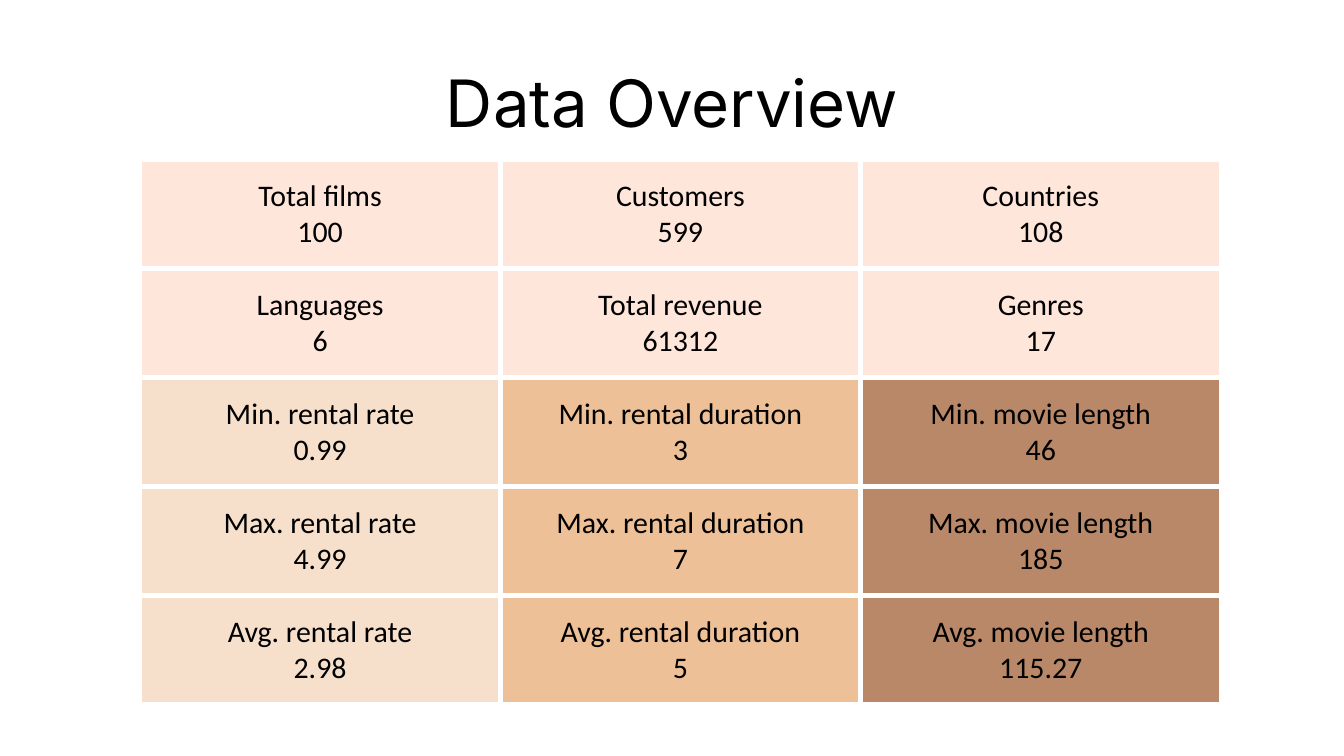
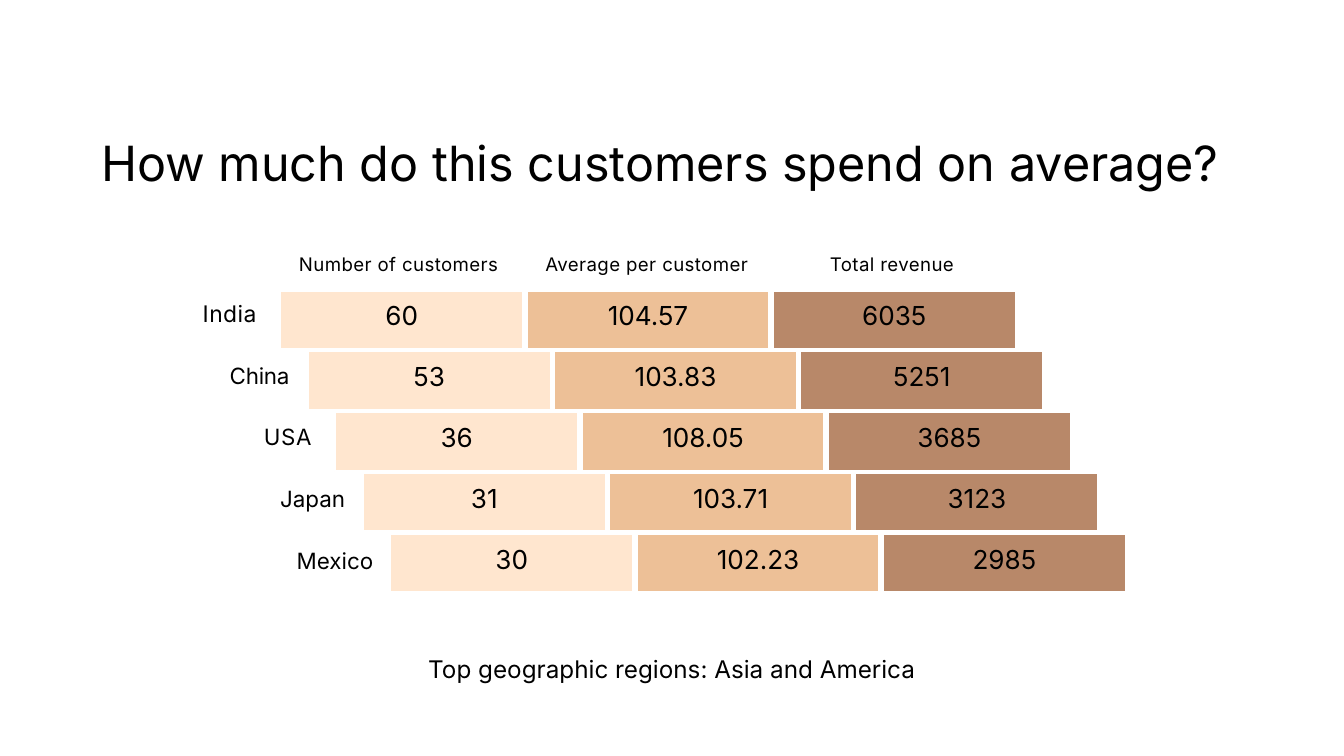
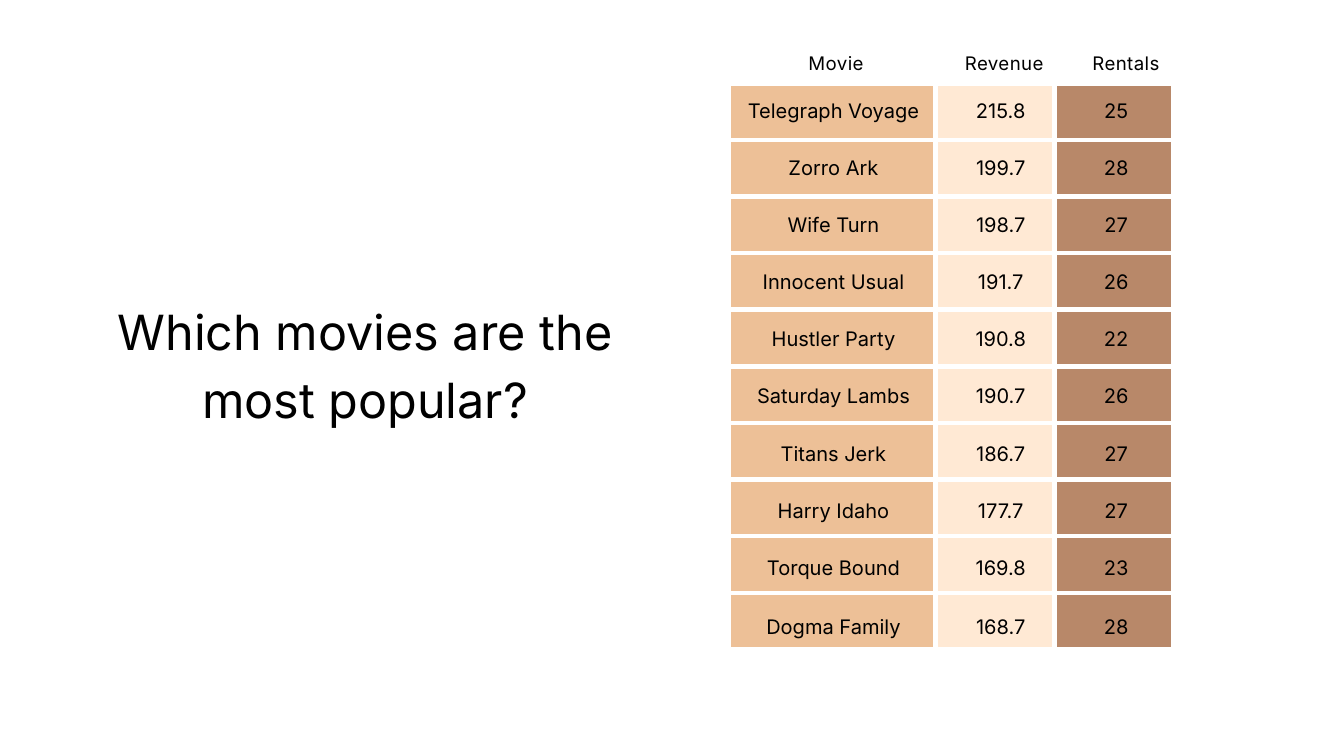
from lxml.etree import SubElement
from pptx import Presentation
from pptx.dml.color import RGBColor
from pptx.enum.shapes import MSO_SHAPE as SHAPE
from pptx.enum.text import MSO_ANCHOR as ANCHOR, MSO_AUTO_SIZE as AUTO_SIZE, PP_ALIGN as ALIGN
from pptx.oxml.ns import qn
from pptx.util import Cm, Pt

COLORS = {
    "text": "000000",
    "white": "FFFFFF",
    "blush": "FFE6DB",
    "sand": "F6E0CB",
    "cream": "FFE6CF",
    "ivory": "FFE9D4",
    "apricot": "EDC097",
    "brown": "B88869",
}
FONT = "Inter"
TITLE_ONLY = 5

OVERVIEW = [
    ["Total films\n100", "Customers\n599", "Countries\n108"],
    ["Languages\n6", "Total revenue\n61312", "Genres\n17"],
    ["Min. rental rate\n0.99", "Min. rental duration\n3", "Min. movie length\n46"],
    ["Max. rental rate\n4.99", "Max. rental duration\n7", "Max. movie length\n185"],
    ["Avg. rental rate\n2.98", "Avg. rental duration\n5", "Avg. movie length\n115.27"],
]
OVERVIEW_FILLS = [["blush"] * 3] * 2 + [["sand", "apricot", "brown"]] * 3

# Heading and left in cm
SPENDING_HEADINGS = [("Number of customers", 10.46), ("Average per customer", 19.84),
                     ("Total revenue", 29.11)]
SPENDING_FILLS = ["cream", "apricot", "brown"]
# Country, left in cm, size and letter spacing in points, values
SPENDING = [
    ("India", 0.64, 24.5, 0.5, ["60", "104.57", "6035"]),
    ("China", 1.88, 24, -0.3, ["53", "103.83", "5251"]),
    ("USA", 2.72, 24, 0.7, ["36", "108.05", "3685"]),
    ("Japan", 3.99, 24, 0, ["31", "103.71", "3123"]),
    ("Mexico", 5.05, 24, 0, ["30", "102.23", "2985"]),
]

MOVIES = [
    ["Telegraph Voyage", "215.8", "25"],
    ["Zorro Ark", "199.7", "28"],
    ["Wife Turn", "198.7", "27"],
    ["Innocent Usual", "191.7", "26"],
    ["Hustler Party", "190.8", "22"],
    ["Saturday Lambs", "190.7", "26"],
    ["Titans Jerk", "186.7", "27"],
    ["Harry Idaho", "177.7", "27"],
    ["Torque Bound", "169.8", "23"],
    ["Dogma Family", "168.7", "28"],
]
MOVIE_FILLS = [["apricot", "ivory", "brown"]] * len(MOVIES)
# Heading, left and width in cm
MOVIE_HEADINGS = [("Movie", 27.97, 7.26), ("Revenue", 35.66, 4.6), ("Rentals", 40.26, 4.6)]


def color(key):
    return RGBColor.from_string(COLORS[key])


def set_text(frame, text, size, font=FONT, align=ALIGN.CENTER, leading=None, tracking=0):
    frame.text = text
    for paragraph in frame.paragraphs:
        paragraph.alignment = align
        paragraph.font.size = Pt(size)
        paragraph.font.name = font
        paragraph.font.color.rgb = color("text")
        if leading:
            paragraph.line_spacing = Pt(leading)
        if tracking:
            for run in paragraph.runs:
                run.font._element.set("spc", str(round(tracking * 100)))


def set_frame(frame, anchor, inset, bottom=None):
    frame.word_wrap = True
    frame.auto_size = AUTO_SIZE.NONE
    frame.vertical_anchor = anchor
    frame.margin_left = frame.margin_right = frame.margin_top = Cm(inset)
    frame.margin_bottom = Cm(inset if bottom is None else bottom)


def set_fill(item, key):
    if key:
        item.fill.solid()
        item.fill.fore_color.rgb = color(key)
    else:
        item.fill.background()


def add_titled_slide(prs, text, left, top, width, height, size=52, leading=72.8):
    slide = prs.slides.add_slide(prs.slide_layouts[TITLE_ONLY])
    title = slide.shapes.title
    title.left, title.top, title.width, title.height = map(Cm, (left, top, width, height))
    set_frame(title.text_frame, ANCHOR.TOP, 0)
    set_text(title.text_frame, text, size, leading=leading)
    return slide


def add_label(slide, text, left, top, width, height, size=20, align=ALIGN.CENTER, tracking=0.4):
    label = slide.shapes.add_textbox(Cm(left), Cm(top), Cm(width), Cm(height))
    set_frame(label.text_frame, ANCHOR.MIDDLE, 0.15)
    set_text(label.text_frame, text, size, align=align, leading=size * 1.4, tracking=tracking)


def add_tile(slide, text, left, top, width, height, fill=None, size=28):
    tile = slide.shapes.add_shape(SHAPE.RECTANGLE, Cm(left), Cm(top), Cm(width), Cm(height))
    tile.shadow.inherit = False
    set_fill(tile, fill)
    tile.line.color.rgb = color("white")
    tile.line.width = Pt(3)
    # The deeper bottom inset lifts the text above the middle
    set_frame(tile.text_frame, ANCHOR.MIDDLE, 0, bottom=0.53)
    set_text(tile.text_frame, text, size, leading=size * 1.4)


def set_borders(cell, width):
    properties = cell._tc.get_or_add_tcPr()
    for side in ("a:lnL", "a:lnR", "a:lnT", "a:lnB"):
        border = SubElement(properties, qn(side), w=str(Pt(width)))
        solid = SubElement(border, qn("a:solidFill"))
        SubElement(solid, qn("a:srgbClr"), val=COLORS["white"])


def add_grid(slide, fills, left, top, widths, heights, border):
    frame = slide.shapes.add_table(len(heights), len(widths), Cm(left), Cm(top),
                                   Cm(sum(widths)), Cm(sum(heights)))
    grid = frame.table
    grid.first_row = grid.horz_banding = False
    for column, width in zip(grid.columns, widths):
        column.width = Cm(width)
    for row, height, row_fills in zip(grid.rows, heights, fills):
        row.height = Cm(height)
        for cell, fill in zip(row.cells, row_fills):
            set_borders(cell, border)
            set_fill(cell, fill)
    return grid


def fill_grid(grid, rows, size, font=FONT, leading=None, inset=None):
    for row, texts in zip(grid.rows, rows):
        for cell, text in zip(row.cells, texts):
            cell.vertical_anchor = ANCHOR.MIDDLE
            if inset is not None:
                cell.margin_left = cell.margin_right = Cm(inset)
                cell.margin_top = cell.margin_bottom = Cm(inset)
            set_text(cell.text_frame, text, size, font, leading=leading)


def build_overview(prs):
    slide = add_titled_slide(prs, "Data Overview", 14.66, 2.84, 21.49, 2.49, size=70, leading=70)
    figures = add_grid(slide, OVERVIEW_FILLS, 5.29, 6.04, [13.62] * 3, [4.12] * 5, border=6)
    fill_grid(figures, OVERVIEW, 32, font="Calibri")


def build_spending(prs):
    slide = add_titled_slide(prs, "How much do this customers spend on average?",
                             3.12, 4.67, 43.66, 2.46)
    for heading, left in SPENDING_HEADINGS:
        add_label(slide, heading, left, 8.26, 9.21, 3.3)

    # Each country steps down and to the right
    for step, (country, left, size, tracking, values) in enumerate(SPENDING):
        add_label(slide, country, left, 10.42 + 2.33 * step, 9.21, 2.7,
                  size=size, align=ALIGN.RIGHT, tracking=tracking)
        for column, (value, fill) in enumerate(zip(values, SPENDING_FILLS)):
            add_tile(slide, value, 10.58 + 1.04 * step + 9.31 * column,
                     10.97 + 2.3 * step, 9.21, 2.24, fill)

    add_tile(slide, "Top geographic regions: Asia and America",
             12.52, 24, 25.76, 2.95, size=26)


def build_movies(prs):
    slide = add_titled_slide(prs, "Which movies are the most popular?", 2.84, 11.05, 21.92, 5.03)
    # Coloured cells, with the values in a slightly wider grid over them
    add_grid(slide, MOVIE_FILLS, 27.56, 3.15, [7.8, 4.5, 4.5], [2.14] * 10, border=5.59)
    values = add_grid(slide, [[None] * 3] * 10, 27.38, 3.38, [8.25, 4.39, 4.34],
                      [2.16] * 9 + [2.29], border=0)
    fill_grid(values, MOVIES, 21.5, leading=10.8, inset=0)
    for heading, left, width in MOVIE_HEADINGS:
        add_label(slide, heading, left, 1.37, width, 1.85)


def main():
    prs = Presentation()
    prs.slide_width, prs.slide_height = Cm(50.8), Cm(28.58)
    build_overview(prs)
    build_spending(prs)
    build_movies(prs)
    prs.save("out.pptx")


if __name__ == "__main__":
    main()
